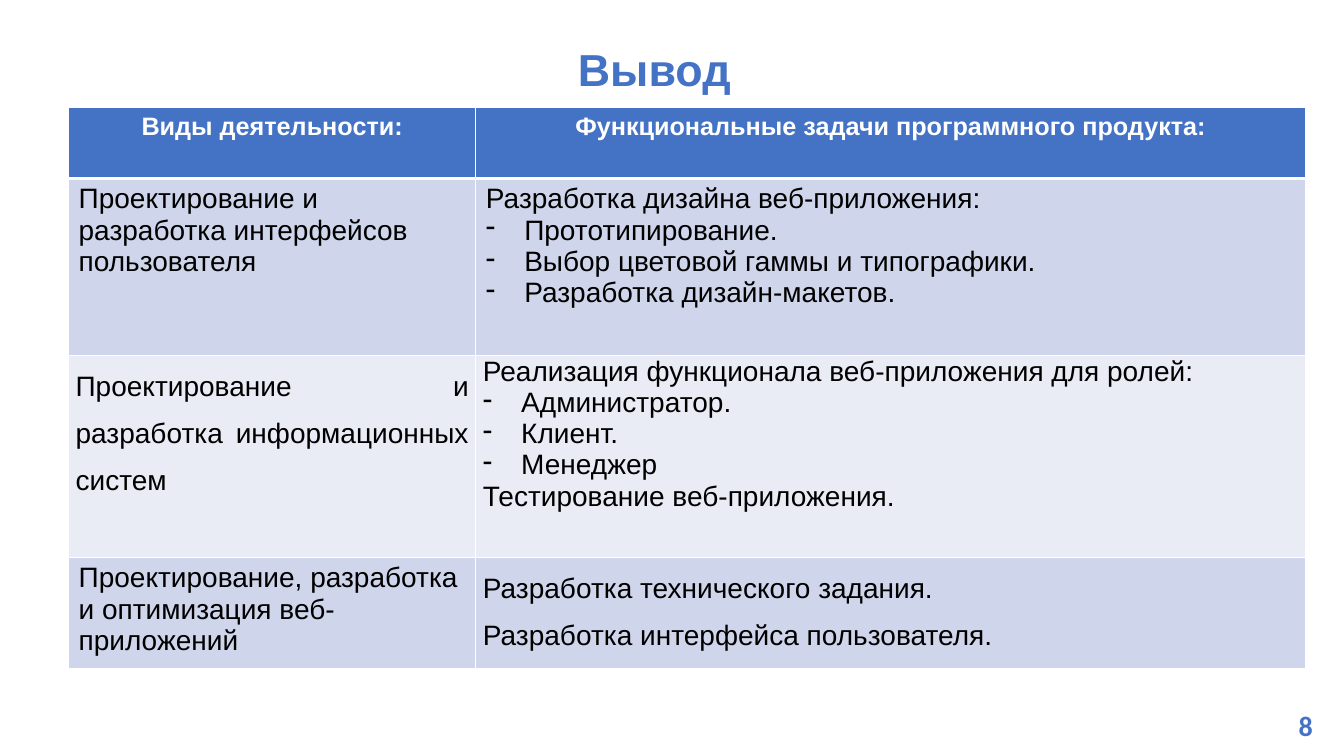
from lxml.etree import SubElement
from pptx import Presentation
from pptx.dml.color import RGBColor
from pptx.enum.text import MSO_ANCHOR as Anchor, PP_ALIGN as Align
from pptx.oxml.ns import qn
from pptx.util import Inches, Pt

BLUE, WHITE, BLACK = "4472C4", "FFFFFF", "000000"
DARK_BAND, LIGHT_BAND = "CFD5EA", "E9EBF5"


def style(para, size, color, bold=True, name="Arial", align=Align.CENTER):
    para.alignment = align
    for span in para.runs:
        span.font.name = name
        span.font.size = Pt(size)
        span.font.bold = bold
        span.font.color.rgb = RGBColor.from_string(color)


def add_borders(cell, widths):
    properties = cell._tc.get_or_add_tcPr()
    for index, (side, width) in enumerate(widths.items()):
        line = SubElement(properties, qn(f"a:{side}"), w=str(Pt(width)))
        fill = SubElement(line, qn("a:solidFill"))
        SubElement(fill, qn("a:srgbClr"), val=WHITE)
        properties.remove(line)
        properties.insert(index, line)


deck = Presentation()
deck.slide_width = Inches(13.33)
deck.slide_height = Inches(7.5)
page = deck.slides.add_slide(deck.slide_layouts[6])

title = page.shapes.add_textbox(Inches(4.5), Inches(0.09), Inches(3.98), Inches(1.25))
title.text_frame.word_wrap = True
title.text_frame.vertical_anchor = Anchor.MIDDLE
title.text_frame.text = "Вывод"
title.text_frame.paragraphs[0].line_spacing = 0.9
style(title.text_frame.paragraphs[0], 32, BLUE)

headings = ["Виды деятельности:", "Функциональные задачи программного продукта:"]
left, justified = Align.LEFT, Align.JUSTIFY
body = [
    [
        (["Проектирование и разработка интерфейсов пользователя"], left, 1, False),
        (["Разработка дизайна веб-приложения:", "- Прототипирование.",
          "- Выбор цветовой гаммы и типографики.", "- Разработка дизайн-макетов."],
         justified, 1, False),
    ],
    [
        (["Проектирование и разработка информационных систем"], justified, 1.5, True),
        (["Реализация функционала веб-приложения для ролей:", "- Администратор.",
          "- Клиент.", "- Менеджер", "Тестирование веб-приложения."],
         justified, 1, True),
    ],
    [
        (["Проектирование, разработка и оптимизация веб-приложений"], left, 1, False),
        (["Разработка технического задания.", "Разработка интерфейса пользователя."],
         justified, 1.5, True),
    ],
]

table = page.shapes.add_table(
    4, 2, Inches(0.68), Inches(1.07), Inches(12.27), Inches(5.56)
).table
for column, width in zip(table.columns, [4.04, 8.23]):
    column.width = Inches(width)
for row, height in zip(table.rows, [0.7, 1.76, 2, 1.1]):
    row.height = Inches(height)

for column_index, heading in enumerate(headings):
    cell = table.cell(0, column_index)
    cell.fill.solid()
    cell.fill.fore_color.rgb = RGBColor.from_string(BLUE)
    cell.text_frame.text = heading
    style(cell.text_frame.paragraphs[0], 18, WHITE)
    add_borders(cell, {"lnL": 1, "lnR": 1, "lnT": 1, "lnB": 3})

for row_index, row_cells in enumerate(body, start=1):
    band = DARK_BAND if row_index % 2 else LIGHT_BAND
    for column_index, (lines, align, spacing, tight) in enumerate(row_cells):
        cell = table.cell(row_index, column_index)
        cell.fill.solid()
        cell.fill.fore_color.rgb = RGBColor.from_string(band)
        if tight:
            cell.margin_left = cell.margin_right = Inches(0.07)
            cell.margin_top = cell.margin_bottom = 0
        cell.text_frame.text = "\n".join(line.removeprefix("- ") for line in lines)
        for para, line in zip(cell.text_frame.paragraphs, lines):
            if line.startswith("- "):
                properties = para._p.get_or_add_pPr()
                properties.set("marL", str(Inches(0.38)))
                properties.set("indent", str(-Inches(0.38)))
                SubElement(properties, qn("a:buChar"), char="-")
            para.line_spacing = spacing
            style(para, 20, BLACK, bold=False, align=align)
        top = 3 if row_index == 1 else 1
        add_borders(cell, {"lnL": 1, "lnR": 1, "lnT": top, "lnB": 1})

number = page.shapes.add_textbox(Inches(12.65), Inches(6.98), Inches(0.6), Inches(0.44))
number.text_frame.word_wrap = True
number.text_frame.text = "8"
style(number.text_frame.paragraphs[0], 20, BLUE, name="Calibri")

deck.save("out.pptx")
